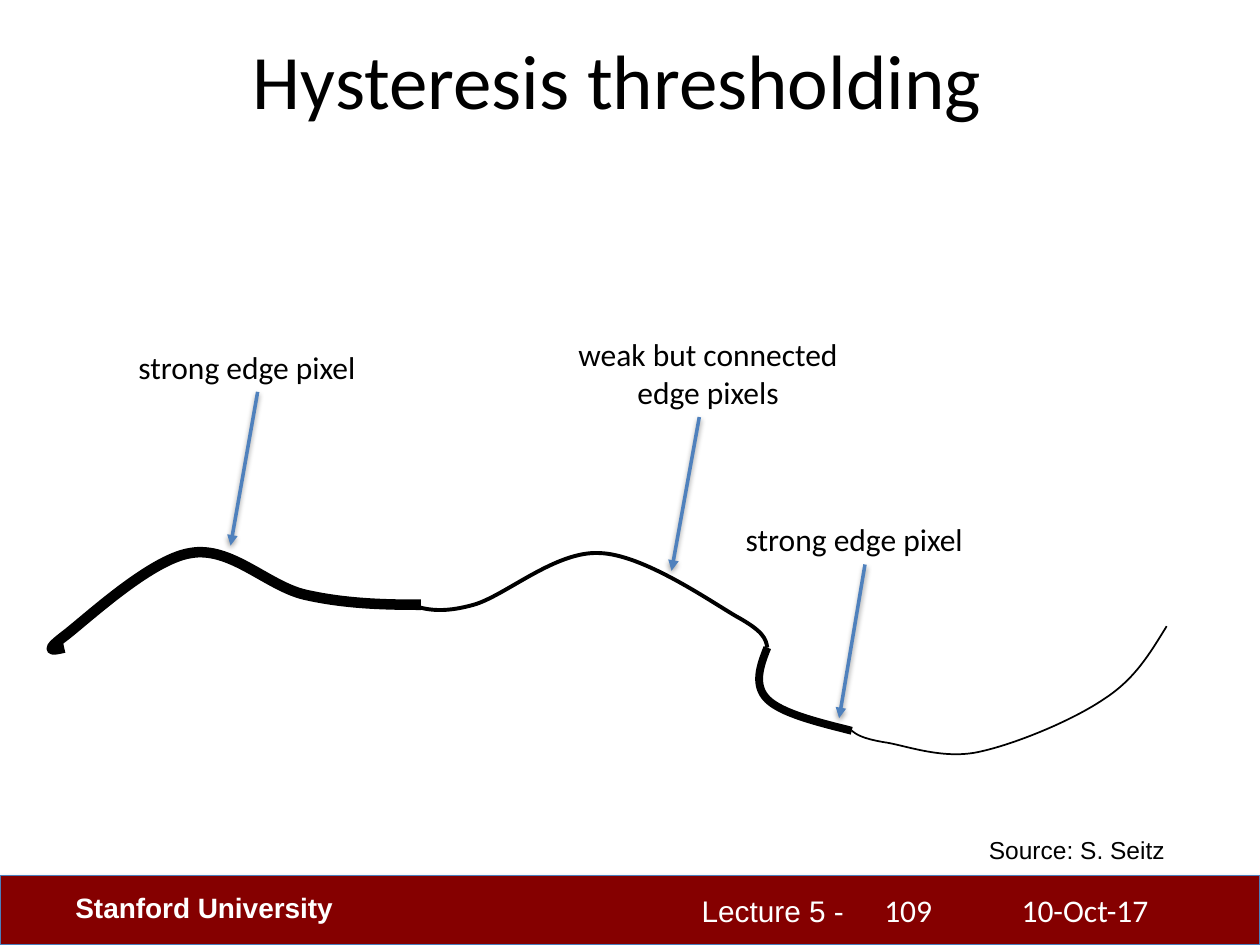
from dataclasses import dataclass

from lxml import etree
from pptx import Presentation
from pptx.dml.color import RGBColor
from pptx.enum.shapes import MSO_CONNECTOR, MSO_SHAPE
from pptx.enum.text import MSO_ANCHOR, PP_ALIGN
from pptx.oxml import parse_xml
from pptx.oxml.ns import nsdecls, qn
from pptx.util import Inches, Pt

RECTANGLE = MSO_SHAPE.RECTANGLE
STRAIGHT = MSO_CONNECTOR.STRAIGHT
LEFT, CENTER = PP_ALIGN.LEFT, PP_ALIGN.CENTER
MIDDLE = MSO_ANCHOR.MIDDLE
BOTTOM_SIDE = 2


@dataclass(frozen=True)
class Theme:
    ink: RGBColor = RGBColor(0x00, 0x00, 0x00)
    paper: RGBColor = RGBColor(0xFF, 0xFF, 0xFF)
    footer: RGBColor = RGBColor(0x85, 0x00, 0x00)
    footer_line: RGBColor = RGBColor(0x4B, 0x7E, 0xBC)
    arrow: RGBColor = RGBColor(0x4F, 0x81, 0xBD)
    heading_font: str = "Calibri"
    plain_font: str = "Arial"
    title_size: int = 44
    label_size: int = 18
    lecture_size: int = 17
    university_size: int = 16
    source_size: int = 14


theme = Theme()

presentation = Presentation()
presentation.slide_width, presentation.slide_height = Inches(10), Inches(7.5)
slide = presentation.slides.add_slide(presentation.slide_layouts[5])
shapes = slide.shapes


def add_text(text, box, size, font, color, align=LEFT, bold=False):
    shape = shapes.add_textbox(*map(Inches, box))
    shape.text_frame.word_wrap = True
    shape.text_frame.text = text
    paragraph = shape.text_frame.paragraphs[0]
    paragraph.alignment = align
    run_font = paragraph.runs[0].font
    run_font.size, run_font.name, run_font.bold = Pt(size), font, bold
    run_font.color.rgb = color
    return shape


def add_shadow(shape, distance, opacity):
    shape._element.spPr.append(parse_xml(
        f'<a:effectLst {nsdecls("a")}><a:outerShdw blurRad="{Pt(3.1)}" '
        f'dist="{Pt(distance)}" dir="5400000" rotWithShape="0">'
        f'<a:srgbClr val="{theme.ink}"><a:alpha val="{opacity * 1000}"/></a:srgbClr>'
        f'</a:outerShdw></a:effectLst>'))


footer = shapes.add_shape(RECTANGLE, 0, Inches(6.95), Inches(10), Inches(0.55))
footer.fill.solid()
footer.fill.fore_color.rgb = theme.footer
footer.line.color.rgb = theme.footer_line
footer.line.width = Pt(0.75)
add_shadow(footer, 1.8, 35)

for text, box, size, font, bold in [
    ("Lecture 5 -", (5.47, 7.04, 2.44, 0.4), theme.lecture_size, theme.plain_font, False),
    ("Stanford University", (0.5, 7.02, 2.42, 0.37), theme.university_size, theme.plain_font, True),
    ("10-Oct-17", (8.01, 7.02, 1.74, 0.4), theme.label_size, theme.heading_font, False),
    ("109", (6.92, 7.02, 1.1, 0.4), theme.label_size, theme.heading_font, False),
]:
    add_text(text, box, size, font, theme.paper, bold=bold)

title = shapes.title
title.left, title.top, title.width, title.height = map(Inches, (0.65, 0, 8.5, 1.25))
title.text_frame.text = "Hysteresis thresholding"
title.text_frame.vertical_anchor = MIDDLE
title_paragraph = title.text_frame.paragraphs[0]
title_paragraph.alignment = CENTER
title_font = title_paragraph.runs[0].font
title_font.size, title_font.name = Pt(theme.title_size), theme.heading_font
title_font.color.rgb = theme.ink

edge_curves = [
    (6, [(0.51, 5.14), (0.42, 5.16), (0.34, 5.18), (0.51, 5.05),
         (0.67, 4.93), (1.19, 4.44), (1.51, 4.39),
         (1.83, 4.33), (2.12, 4.65), (2.42, 4.72),
         (2.73, 4.79), (3.03, 4.8), (3.34, 4.8)]),
    (2.25, [(3.26, 4.8), (3.38, 4.84), (3.51, 4.87), (3.76, 4.8),
            (4.01, 4.73), (4.41, 4.37), (4.76, 4.39),
            (5.1, 4.4), (5.62, 4.76), (5.84, 4.89),
            (6.06, 5.01), (6.08, 5.07), (6.09, 5.14)]),
    (4.5, [(6.09, 5.14), (6.03, 5.29), (5.98, 5.44), (6.09, 5.55),
           (6.2, 5.66), (6.48, 5.73), (6.76, 5.8)]),
    (1, [(6.76, 5.8), (6.8, 5.83), (6.84, 5.86), (7.01, 5.89),
         (7.17, 5.91), (7.47, 6.03), (7.76, 5.97),
         (8.05, 5.91), (8.51, 5.72), (8.76, 5.55),
         (9.01, 5.39), (9.13, 5.18), (9.26, 4.97)]),
]
for width, points in edge_curves:
    start, *controls = [(Inches(x), Inches(y)) for x, y in points]
    builder = shapes.build_freeform(*start)
    builder.add_line_segments(controls, close=False)
    curve = builder.convert_to_shape()
    curve.shadow.inherit = False
    curve.fill.background()
    curve.line.color.rgb = theme.ink
    curve.line.width = Pt(width)
    segments = list(curve._element.iter(qn("a:lnTo")))
    outline = segments[0].getparent()
    for index in range(0, len(segments), 3):
        bezier = etree.SubElement(outline, qn("a:cubicBezTo"))
        for segment in segments[index:index + 3]:
            bezier.append(segment[0])
            outline.remove(segment)

add_text("Source: S. Seitz", (7.75, 6.58, 2.16, 0.34),
         theme.source_size, theme.plain_font, theme.ink)

for text, box, align, start, end, joined in [
    ("strong edge pixel", (1, 2.71, 2.09, 0.4), LEFT, (2.05, 3.11), (1.83, 4.33), True),
    ("weak but connected edge pixels", (4.33, 2.61, 2.58, 0.71), CENTER,
     (5.55, 3.31), (5.33, 4.53), False),
    ("strong edge pixel", (5.82, 4.08, 2.09, 0.4), LEFT, (6.87, 4.48), (6.66, 5.7), True),
]:
    label = add_text(text, box, theme.label_size, theme.heading_font, theme.ink, align)
    arrow = shapes.add_connector(STRAIGHT, *map(Inches, start + end))
    if joined:
        arrow.begin_connect(label, BOTTOM_SIDE)
    arrow.line.color.rgb = theme.arrow
    arrow.line.width = Pt(2)
    etree.SubElement(arrow.line._get_or_add_ln(), qn("a:tailEnd"), type="triangle")
    add_shadow(arrow, 1.6, 38)

presentation.save("out.pptx")
